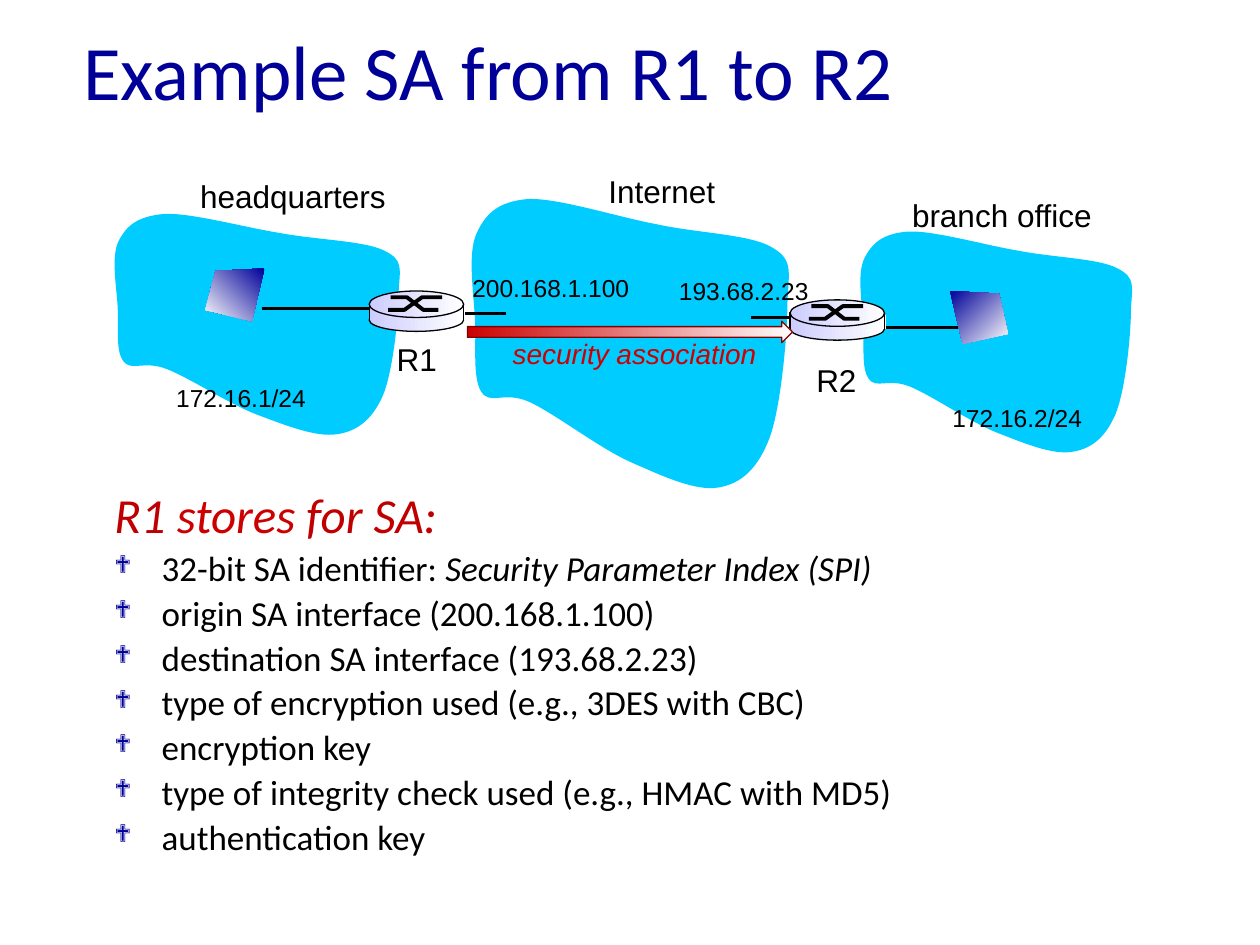
from dataclasses import dataclass

from lxml import etree
from pptx import Presentation
from pptx import util as u
from pptx.dml.color import RGBColor
from pptx.enum import shapes, text
from pptx.oxml.ns import qn

# Grid of 1000 columns by 750 rows, one cell is 0.01 inch
COLS, ROWS = 1000, 750
CELL = u.Inches(0.01)
INK = {"navy": "000099", "red": "CC0000", "wine": "C00000", "edge": "800000",
       "sky": "00CCFF", "lilac": "CCCCFF", "white": "FFFFFF", "black": "000000"}
# Cloud outline in cells of a 258 by 233 box: a start, then cubic curves
CLOUD = [(48, 1),
         (24, 3), (14, 13), (7, 29), (0, 45), (5, 76), (6, 97),
         (7, 118), (4, 143), (11, 154), (18, 165), (29, 153), (49, 162),
         (69, 171), (105, 199), (130, 210), (155, 221), (181, 233), (199, 230),
         (218, 227), (231, 214), (240, 190), (249, 165), (254, 108), (254, 83),
         (255, 58), (259, 49), (241, 39), (224, 29), (182, 28), (150, 21),
         (118, 15), (72, 0), (48, 1)]


@dataclass
class Box:
    x: float
    y: float
    w: float
    h: float

    def emu(self) -> list[int]:
        return [int(v * CELL) for v in (self.x, self.y, self.w, self.h)]


@dataclass
class Label:
    words: str
    box: Box
    size: int = 18
    ink: str = "black"
    slant: bool = False
    wrap: bool = False


@dataclass
class Router:
    x: float
    y: float


def tint(name: str) -> RGBColor:
    return RGBColor.from_string(INK[name])


def blend(fill, first: str, angle: float) -> None:
    """Fade from a colour to white, angle counted clockwise."""
    fill.gradient()
    fill.gradient_angle = (360 - angle) % 360
    for stop, name, pos in zip(fill.gradient_stops, (first, "white"), (0, 1)):
        stop.color.rgb = tint(name)
        stop.position = pos


def edge(item, name: str | None, width: float = 0.75) -> None:
    if name is None:
        item.line.fill.background()
    else:
        item.line.color.rgb = tint(name)
        item.line.width = u.Pt(width)


def add_run(para, words: str, size: int, font: str, ink: str, slant=False) -> None:
    run = para.add_run()
    run.text = words
    run.font.size, run.font.name = u.Pt(size), font
    run.font.italic = slant
    run.font.color.rgb = tint(ink)


def add_path(draw, pts: list, close: bool = True):
    pts = [(int(x * CELL), int(y * CELL)) for x, y in pts]
    build = draw.build_freeform(*pts[0], scale=1.0)
    build.add_line_segments(pts[1:], close=close)
    item = build.convert_to_shape()
    item.shadow.inherit = False
    return item


def bend(item) -> None:
    """Turn each three line segments into one cubic curve."""
    legs = list(item._element.iter(qn("a:lnTo")))
    for i in range(0, len(CLOUD) - 1, 3):
        curve = etree.Element(qn("a:cubicBezTo"))
        legs[i].addprevious(curve)
        for leg in legs[i:i + 3]:
            curve.append(leg[0])
            leg.getparent().remove(leg)


def add_cloud(draw, box: Box) -> None:
    item = add_path(draw, [(box.x + x * box.w / 258, box.y + y * box.h / 233)
                           for x, y in CLOUD])
    bend(item)
    item.fill.solid()
    item.fill.fore_color.rgb = tint("sky")
    edge(item, None)


def add_line(draw, x1: float, y1: float, x2: float, y2: float, width: float) -> None:
    ends = [int(v * CELL) for v in (x1, y1, x2, y2)]
    item = draw.add_connector(shapes.MSO_CONNECTOR.STRAIGHT, *ends)
    edge(item, "black", width)
    etree.SubElement(item._element.spPr, qn("a:effectLst"))


def add_form(draw, kind, box: Box, first: str, angle: float, line: str | None) -> None:
    item = draw.add_shape(kind, *box.emu())
    item.shadow.inherit = False
    blend(item.fill, first, angle)
    edge(item, line)


def add_host(draw, pts: list, angle: float) -> None:
    item = add_path(draw, pts)
    blend(item.fill, "navy", angle)
    edge(item, None)


def add_router(draw, hub: Router) -> None:
    oval, rect = shapes.MSO_SHAPE.OVAL, shapes.MSO_SHAPE.RECTANGLE
    for kind, dy, w, h, line in ((oval, 14, 75, 18, "black"), (rect, 12, 76, 11, None),
                                 (oval, 0, 75, 21, "black")):
        add_form(draw, kind, Box(hub.x, hub.y + dy, w, h), "lilac", 0, line)
    for pts in (((15, 15), (28, 15), (42, 5), (58, 5)),
                ((17, 5), (30, 5), (43, 15), (55, 15))):
        item = add_path(draw, [(hub.x + x, hub.y + y) for x, y in pts], close=False)
        item.fill.background()
        edge(item, "black", 2.25)
    for dx in (0, 75):
        add_line(draw, hub.x + dx, hub.y + 10, hub.x + dx, hub.y + 23, 0.75)


def add_label(draw, label: Label) -> None:
    frame = draw.add_textbox(*label.box.emu()).text_frame
    frame.word_wrap = label.wrap
    frame.auto_size = text.MSO_AUTO_SIZE.SHAPE_TO_FIT_TEXT
    add_run(frame.paragraphs[0], label.words, label.size, "Arial", label.ink, label.slant)


def add_list(draw, box: Box, head: list, rows: list) -> None:
    frame = draw.add_textbox(*box.emu()).text_frame
    frame.word_wrap = True
    para = frame.paragraphs[0]
    para.line_spacing = 0.9
    for words, ink in head:
        add_run(para, words, 28, "Calibri", ink, True)
    for row in rows:
        para = frame.add_paragraph()
        para.line_spacing, para.space_before = 0.9, u.Pt(4)
        props = para._p.get_or_add_pPr()
        props.set("marL", str(u.Pt(27)))
        props.set("indent", str(-u.Pt(27)))
        color = etree.SubElement(props, qn("a:buClr"))
        etree.SubElement(color, qn("a:srgbClr"), val=INK["navy"])
        etree.SubElement(props, qn("a:buSzPct"), val="70000")
        etree.SubElement(props, qn("a:buFont"), typeface="Wingdings", charset="2")
        etree.SubElement(props, qn("a:buChar"), char="❖")
        for words, slant in row:
            add_run(para, words, 20, "Calibri", "black", slant)


def main() -> None:
    deck = Presentation()
    deck.slide_width, deck.slide_height = COLS * CELL, ROWS * CELL
    slide = deck.slides.add_slide(deck.slide_layouts[5])
    draw = slide.shapes

    # Title
    title = draw.title
    title.left, title.top, title.width, title.height = Box(56, -7, 850, 125).emu()
    title.text_frame.vertical_anchor = text.MSO_ANCHOR.MIDDLE
    para = title.text_frame.paragraphs[0]
    para.alignment = text.PP_ALIGN.LEFT
    add_run(para, "Example SA from R1 to R2", 44, "Calibri", "navy")

    # What R1 keeps
    plain = ["origin SA interface (200.168.1.100)", "destination SA interface (193.68.2.23)",
             "type of encryption used (e.g., 3DES with CBC)", "encryption key",
             "type of integrity check used (e.g., HMAC with MD5)", "authentication key"]
    first = [("32-bit SA identifier: ", False), ("Security Parameter Index (SPI)", True)]
    add_list(draw, Box(81, 385, 893, 346),
             [("R1 ", "wine"), ("stores ", "red"), ("for SA:", "wine")],
             [first] + [[(words, False)] for words in plain])

    # Networks and links
    for box in (Box(680, 183, 221, 178), Box(88, 169, 232, 178), Box(371, 157, 258, 233)):
        add_cloud(draw, box)
    for x1, x2, y in ((208, 295, 245), (697, 773, 260), (359, 402, 249), (628, 596, 252)):
        add_line(draw, x1, y, x2, y, 2)

    # Labels
    for label in (Label("193.68.2.23", Box(529, 214, 126, 33), 14),
                  Label("200.168.1.100", Box(365, 212, 146, 34), 14),
                  Label("172.16.1/24", Box(130, 299, 125, 33), 14),
                  Label("172.16.2/24", Box(746, 315, 128, 33), 14),
                  Label("security association", Box(397, 262, 249, 37), 16, "red", True, True),
                  Label("Internet", Box(473, 132, 105, 40)),
                  Label("headquarters", Box(149, 136, 172, 40)),
                  Label("branch office", Box(714, 151, 167, 40)),
                  Label("R1", Box(305, 265, 52, 40)),
                  Label("R2", Box(638, 282, 52, 40))):
        add_label(draw, label)

    # Hosts, routers and the association arrow
    add_host(draw, [(210, 213), (171, 215), (163, 246), (200, 255)], 135)
    add_host(draw, [(754, 231), (793, 233), (800, 265), (764, 273)], 45)
    for hub in (Router(627, 238), Router(293, 231)):
        add_router(draw, hub)
    add_form(draw, shapes.MSO_SHAPE.RIGHT_ARROW, Box(371, 255, 258, 17), "red", 6, "edge")

    deck.save("out.pptx")


if __name__ == "__main__":
    main()
